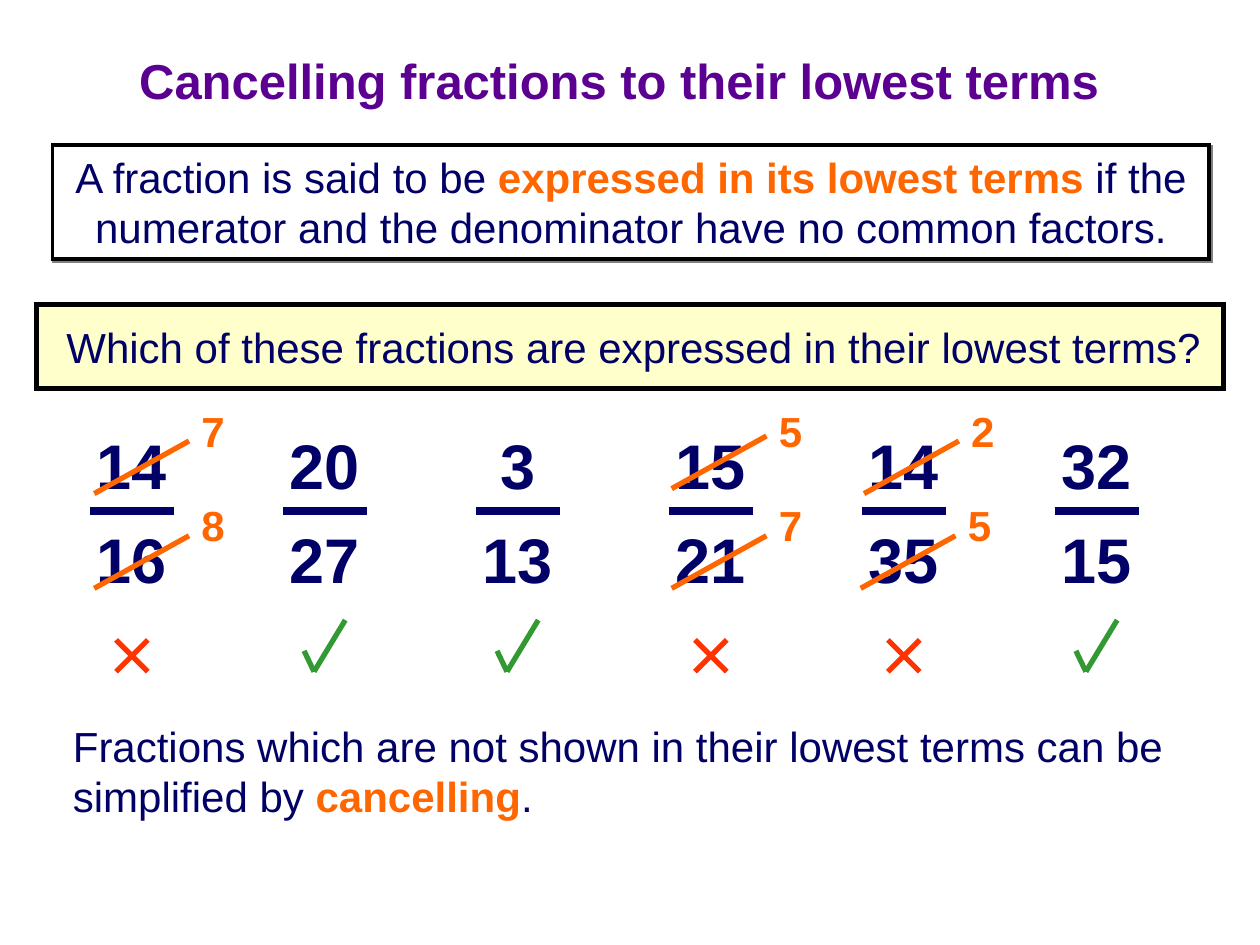
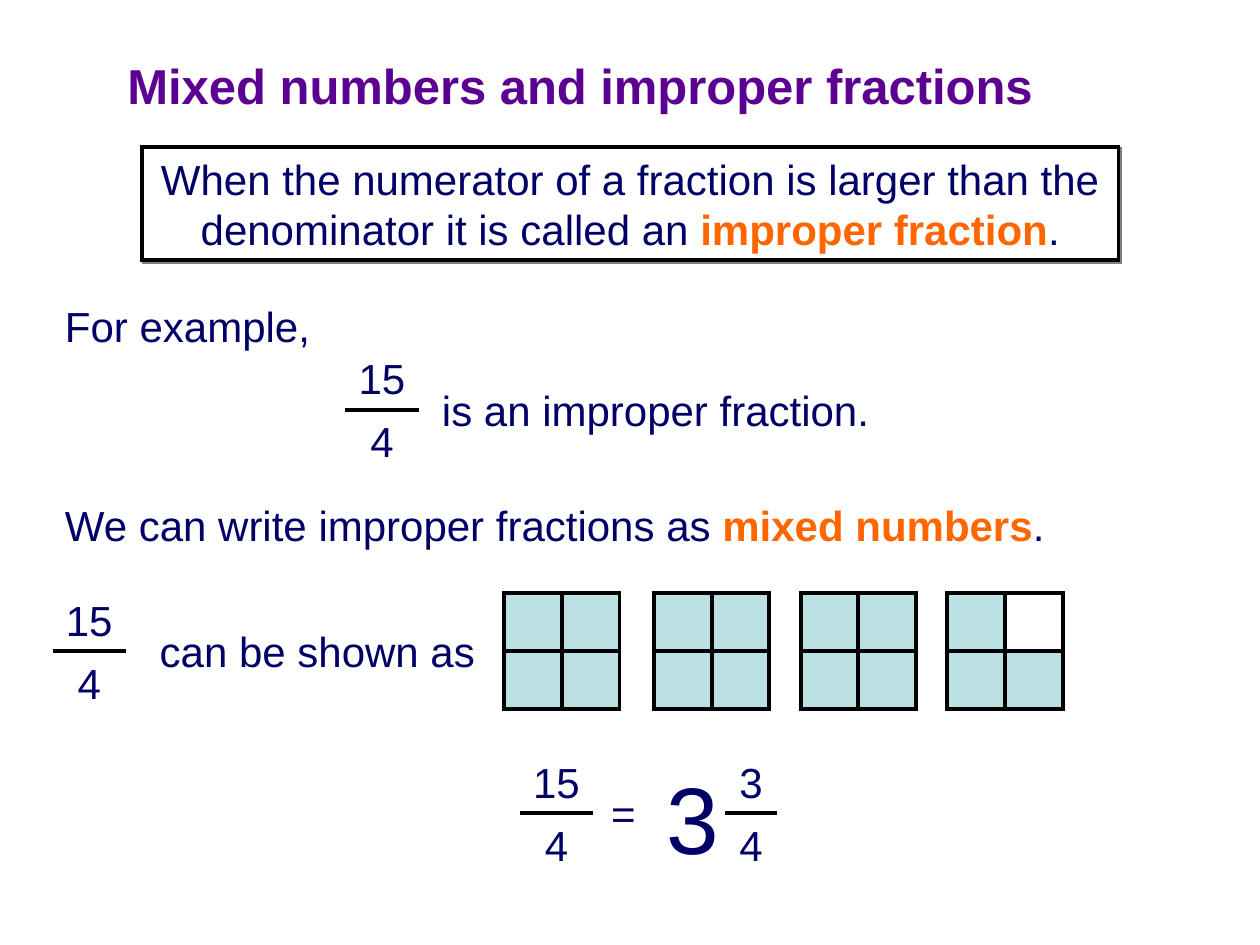
from lxml.etree import SubElement
from pptx import Presentation
from pptx.dml.color import RGBColor
from pptx.enum.shapes import MSO_CONNECTOR, MSO_SHAPE, MSO_SHAPE_TYPE
from pptx.enum.text import MSO_ANCHOR as Anchor, PP_ALIGN as Align
from pptx.oxml.ns import qn
from pptx.util import Cm, Pt

COLORS = {
    "title": "5B0091", "text": "010066", "key": "FF6600",
    "black": "000000", "white": "FFFFFF", "question": "FFFFCC",
    "wrong": "FF3300", "right": "339933", "quarter": "BBE0E3", "shadow": "808080",
}
FONT = "Arial"


def write(shape, texts, size=24, color="text", bold=False, align=Align.LEFT,
          wrap=False, anchor=Anchor.TOP):
    """Fill a shape with runs; every second run is a highlighted key term."""
    frame = shape.text_frame
    frame.word_wrap = wrap
    frame.vertical_anchor = anchor
    paragraph = frame.paragraphs[0]
    paragraph.alignment = align
    for i, text in enumerate(texts):
        is_key = i % 2 == 1
        run = paragraph.add_run()
        run.text = text
        run.font.name = FONT
        run.font.size = Pt(size)
        run.font.bold = bold or is_key
        run.font.color.rgb = RGBColor.from_string(COLORS["key" if is_key else color])


def draw_line(slide, x1, y1, x2, y2, color="black", width=2.25):
    line = slide.shapes.add_connector(
        MSO_CONNECTOR.STRAIGHT, Cm(x1), Cm(y1), Cm(x2), Cm(y2))
    line.line.color.rgb = RGBColor.from_string(COLORS[color])
    line.line.width = Pt(width)
    SubElement(line._element.spPr, qn("a:effectLst"))
    return line


prs = Presentation()
prs.slide_width, prs.slide_height = Cm(25.4), Cm(19.05)

# Titles and framed definitions on both slides
openings = [
    ("Cancelling fractions to their lowest terms", (1.27, 0.76, 22.42, 1.7),
     ["A fraction is said to be ", "expressed in its lowest terms",
      " if the numerator and the denominator have no common factors."],
     (1.06, 2.93, 23.32, 2.29)),
    ("Mixed numbers and improper fractions", (1.27, 0.76, 20.85, 1.9),
     ["When the numerator of a fraction is larger than the denominator "
      "it is called an ", "improper fraction", "."],
     (2.86, 2.97, 19.69, 2.28)),
]
for heading, heading_box, definition, definition_box in openings:
    slide = prs.slides.add_slide(prs.slide_layouts[5])
    title = slide.shapes.title
    title.left, title.top, title.width, title.height = map(Cm, heading_box)
    write(title, [heading], 28, "title", True, Align.CENTER, True, Anchor.MIDDLE)

    panel = slide.shapes.add_shape(MSO_SHAPE.RECTANGLE, *map(Cm, definition_box))
    panel.fill.solid()
    panel.fill.fore_color.rgb = RGBColor.from_string(COLORS["white"])
    panel.line.width = Pt(2.25)
    panel.shadow.inherit = False
    effects = panel._element.spPr.find(qn("a:effectLst"))
    shadow = SubElement(effects, qn("a:outerShdw"), dist="17960", dir="2700000",
                        algn="ctr", rotWithShape="0")
    SubElement(shadow, qn("a:srgbClr"), val=COLORS["shadow"])
    write(panel, definition, align=Align.CENTER, wrap=True)

cancelling, mixed = prs.slides

# Slide 1: question band
question = cancelling.shapes.add_shape(
    MSO_SHAPE.RECTANGLE, Cm(0.74), Cm(6.14), Cm(23.93), Cm(1.7))
question.shadow.inherit = False
question.fill.solid()
question.fill.fore_color.rgb = RGBColor.from_string(COLORS["question"])
question.line.width = Pt(3)
question.text_frame.margin_left = Cm(0.6)
question.text_frame.margin_right = 0
write(question, ["Which of these fractions are expressed in their lowest terms?"],
      wrap=True, anchor=Anchor.MIDDLE)

# Slide 1: six fractions, each with a tick or a cross
fractions = [("14", "16", False), ("20", "27", True), ("3", "13", True),
             ("15", "21", False), ("14", "35", False), ("32", "15", True)]
tick = [(-0.42, 13.12, -0.22, 13.54), (-0.22, 13.54, 0.41, 12.5)]
cross = [(-0.32, 12.9, 0.32, 13.54), (0.32, 12.9, -0.32, 13.54)]
for column, (numerator, denominator, is_lowest) in enumerate(fractions):
    center = 2.66 + 3.89 * column
    for number, top in ((numerator, 8.47), (denominator, 10.37)):
        label = cancelling.shapes.add_textbox(
            Cm(center - 1.1), Cm(top), Cm(2.2), Cm(1.78))
        write(label, [number], 36, bold=True, align=Align.CENTER)
    draw_line(cancelling, center - 0.85, 10.31, center + 0.85, 10.31, "text", 4.5)
    for x1, y1, x2, y2 in tick if is_lowest else cross:
        draw_line(cancelling, center + x1, y1, center + x2, y2,
                  "right" if is_lowest else "wrong", 3)

# Slide 1: conclusion
conclusion = cancelling.shapes.add_textbox(Cm(1.22), Cm(14.4), Cm(24.18), Cm(2.29))
write(conclusion, ["Fractions which are not shown in their lowest terms can be "
                   "simplified by ", "cancelling", "."], wrap=True)

# Slide 1: strokes through cancelled numbers, with the reduced numbers
cancellations = [(3.81, 8.89, 8.05, "7"), (3.81, 10.8, 9.95, "8"),
                 (15.45, 8.79, 8.05, "5"), (15.45, 10.8, 9.95, "7"),
                 (19.33, 8.89, 8.05, "2"), (19.26, 10.8, 9.95, "5")]
for x, y, reduced_top, reduced in cancellations:
    draw_line(cancelling, x, y, x - 1.91, y + 1.06, "key", 3)
    label = cancelling.shapes.add_textbox(Cm(x), Cm(reduced_top), Cm(1), Cm(1.27))
    write(label, [reduced], color="key", bold=True)

# Slide 2: sentences and signs
sentences = [
    (1.06, 5.93, 5.44, 24, ["For example,"]),
    (8.66, 7.62, 9.12, 24, ["is an improper fraction."]),
    (1.06, 9.95, 20.27, 24,
     ["We can write improper fractions as ", "mixed numbers", "."]),
    (2.97, 12.49, 7.09, 24, ["can be shown as"]),
    (12.07, 15.75, 1, 24, ["="]),
    (13.18, 15.19, 1.56, 54, ["3"]),
]
for left, top, width, size, texts in sentences:
    sentence = mixed.shapes.add_textbox(
        Cm(left), Cm(top), Cm(width), Cm(2.54 if size > 24 else 1.27))
    write(sentence, texts, size)

# Slide 2: fractions as centre, bar height, half bar width and numerator over 4
for center, bar, half, numerator in [(7.7, 8.26, 0.74, "15"), (1.8, 13.13, 0.74, "15"),
                                     (11.22, 16.39, 0.74, "15"), (15.14, 16.39, 0.53, "3")]:
    for number, top in ((numerator, bar - 1.27), ("4", bar)):
        label = mixed.shapes.add_textbox(
            Cm(center - 0.85), Cm(top), Cm(1.7), Cm(1.27))
        write(label, [number], align=Align.CENTER)
    draw_line(mixed, center - half, bar, center + half, bar)

# Slide 2: four wholes cut into quarters, the last quarter left white
side, whole_top = 2.33, 11.96
half = side / 2
wholes = [(left, side, "quarter") for left in (10.16, 13.18, 16.14, 19.1)]
blank_quarter = (wholes[-1][0] + half, half, "white")
for left, size, color in wholes + [blank_quarter]:
    square = mixed.shapes.add_shape(
        MSO_SHAPE.RECTANGLE, Cm(left), Cm(whole_top), Cm(size), Cm(size))
    square.shadow.inherit = False
    square.fill.solid()
    square.fill.fore_color.rgb = RGBColor.from_string(COLORS[color])
    square.line.width = Pt(2.25)
    if color == "quarter":
        middle_x, middle_y = left + half, whole_top + half
        for start, end, ends in [
                (0, 2, (middle_x, whole_top, middle_x, whole_top + side)),
                (1, 3, (left, middle_y, left + side, middle_y))]:
            cut = draw_line(mixed, *ends)
            cut.begin_connect(square, start)
            cut.end_connect(square, end)

# Black borders with sharp corners on every rectangle
for slide in prs.slides:
    for shape in slide.shapes:
        if shape.shape_type == MSO_SHAPE_TYPE.AUTO_SHAPE:
            shape.line.color.rgb = RGBColor.from_string(COLORS["black"])
            SubElement(shape._element.spPr.find(qn("a:ln")), qn("a:miter"), lim="800000")

prs.save("out.pptx")
